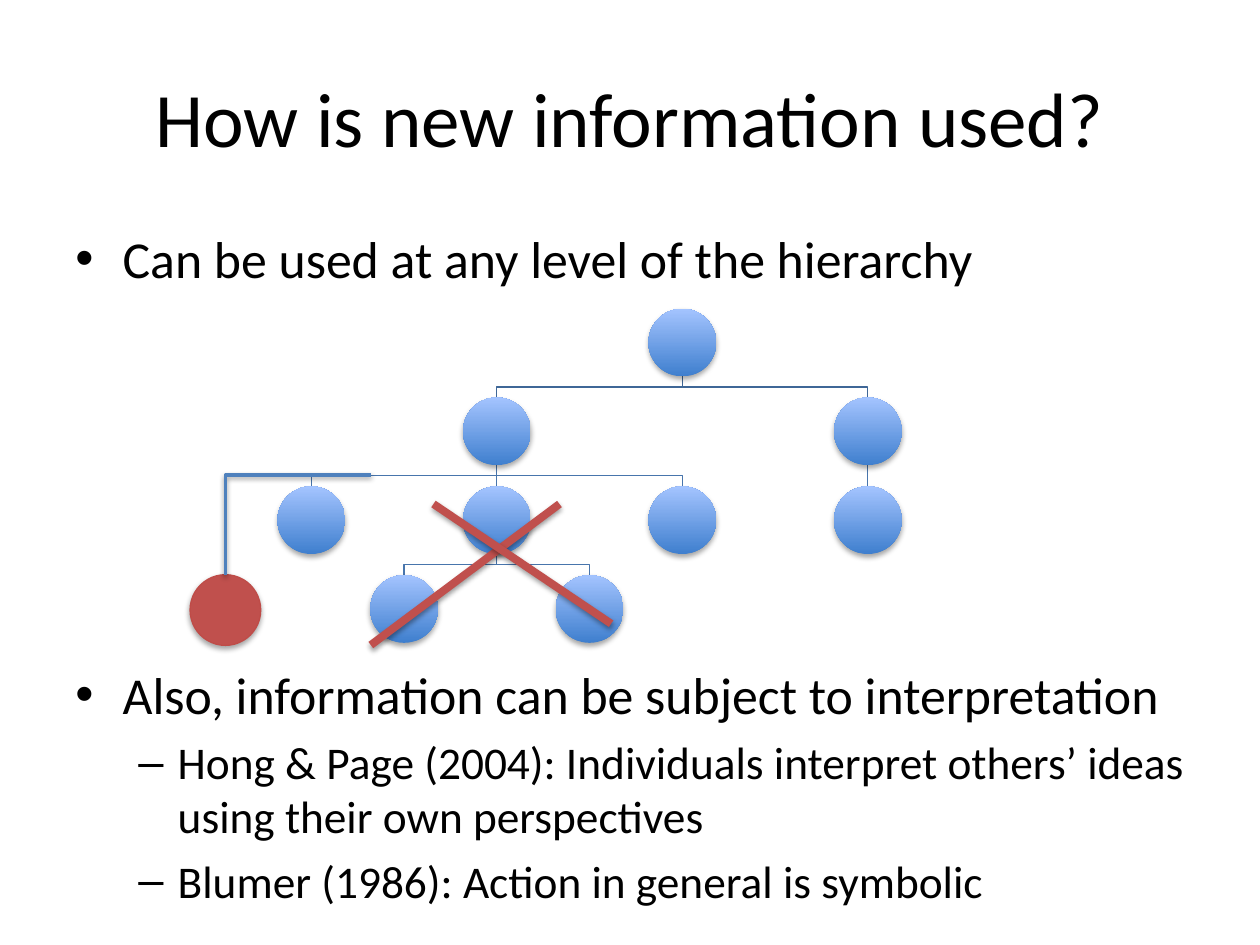
import pptx
import pptx.util
import pptx.dml.color
import pptx.enum.shapes
import pptx.enum.text
import pptx.oxml
import pptx.oxml.ns

Pt = pptx.util.Pt
FONT = "Calibri"
COLORS = {
    "text": "000000", "node_low": "3F7FCE", "node_high": "A4C4FF",
    "upper_link": "3F6797", "lower_link": "4875AC",
    "new_link": "4F81BD", "new_node": "C0504D", "new_edge": "BF4C48",
    "cross": "C0504D", "shadow": "000000",
}

# Content: bullets are (level, text)
TITLE = "How is new information used?"
TOP_BULLETS = [(0, "Can be used at any level of the hierarchy")]
LOWER_BULLETS = [
    (0, "Also, information can be subject to interpretation"),
    (1, "Hong & Page (2004): Individuals interpret others\u2019 ideas using their own perspectives"),
    (1, "Blumer (1986): Action in general is symbolic"),
]
# Per level: mark, size, left margin, hanging indent
BULLET_STYLES = [("\u2022", 29.6, 27, 27), ("\u2013", 25.9, 58.5, 22.5)]

# Hierarchy: name -> (level, column offset from root, parent)
HIERARCHY = {
    "root": (0, 0, None),
    "left": (1, -2, "root"), "right": (1, 2, "root"),
    "left a": (2, -4, "left"), "left b": (2, -2, "left"),
    "left c": (2, 0, "left"), "right a": (2, 2, "right"),
    "left b1": (3, -3, "left b"), "left b2": (3, -1, "left b"),
}
ROOT_X, ROOT_TOP = 389.9, 176.4
COLUMN_STEP, LEVEL_STEP, NODE_SIZE = 53, 50.75, 38.7

NEW_NODE = (108.6, 328.4, 40.4)  # left, top, size
NEW_LINK = [(128.8, 328.4), (128.8, 271.6), (211.9, 271.6)]
CROSS = [((211.9, 368.6), (319.7, 288)), ((247.7, 288), (349.2, 356.4))]

deck = pptx.Presentation()
deck.slide_width, deck.slide_height = Pt(720), Pt(540)
slide = deck.slides.add_slide(deck.slide_layouts[6])
shapes = slide.shapes


def rgb(name):
    return pptx.dml.color.RGBColor.from_string(COLORS[name])


def set_shadow(shape, alpha=None, distance=1.6):
    """Give the shape a downward shadow, or none when alpha is missing."""
    props = shape._element.spPr
    for old in props.findall(pptx.oxml.ns.qn("a:effectLst")):
        props.remove(old)
    inner = "" if alpha is None else (
        f'<a:outerShdw blurRad="{Pt(3.1)}" dist="{Pt(distance)}" dir="5400000" rotWithShape="0">'
        f'<a:srgbClr val="{COLORS["shadow"]}"><a:alpha val="{alpha * 1000}"/></a:srgbClr>'
        "</a:outerShdw>")
    props.append(pptx.oxml.parse_xml(
        f'<a:effectLst {pptx.oxml.ns.nsdecls("a")}>{inner}</a:effectLst>'))


def style_line(shape, color, width):
    shape.line.color.rgb = rgb(color)
    shape.line.width = Pt(width)


def add_run(paragraph, text, size):
    run = paragraph.add_run()
    run.text = text
    run.font.name, run.font.size = FONT, Pt(size)
    run.font.color.rgb = rgb("text")


def add_text_box(left, top, width, height):
    frame = shapes.add_textbox(Pt(left), Pt(top), Pt(width), Pt(height)).text_frame
    frame.word_wrap = True
    return frame


def add_bullets(top, height, bullets):
    frame = add_text_box(36, top, 648, height)
    for i, (level, text) in enumerate(bullets):
        mark, size, margin, hanging = BULLET_STYLES[level]
        paragraph = frame.paragraphs[0] if i == 0 else frame.add_paragraph()
        paragraph.level = level
        paragraph.space_before = Pt(5.5 if i else 0)
        props = paragraph._p.get_or_add_pPr()
        props.set("marL", str(Pt(margin)))
        props.set("indent", str(-Pt(hanging)))
        ns = pptx.oxml.ns.nsdecls("a")
        props.append(pptx.oxml.parse_xml(f'<a:buFont {ns} typeface="Arial"/>'))
        props.append(pptx.oxml.parse_xml(f'<a:buChar {ns} char="{mark}"/>'))
        add_run(paragraph, text, size)


def add_straight(start, end, color, width):
    line = shapes.add_connector(pptx.enum.shapes.MSO_CONNECTOR.STRAIGHT,
                                *(Pt(v) for v in (*start, *end)))
    style_line(line, color, width)
    set_shadow(line)
    return line


def add_bent(points, color, width):
    corners = [(Pt(x), Pt(y)) for x, y in points]
    builder = shapes.build_freeform(*corners[0], scale=1.0)
    builder.add_line_segments(corners[1:], close=False)
    bent = builder.convert_to_shape()
    bent.fill.background()
    style_line(bent, color, width)
    set_shadow(bent)
    return bent


def add_circle(left, top, size):
    return shapes.add_shape(pptx.enum.shapes.MSO_SHAPE.OVAL,
                            Pt(left), Pt(top), Pt(size), Pt(size))


# Title and bullets
title = add_text_box(36, 21.6, 648, 90)
title.vertical_anchor = pptx.enum.text.MSO_ANCHOR.MIDDLE
title.paragraphs[0].alignment = pptx.enum.text.PP_ALIGN.CENTER
add_run(title.paragraphs[0], TITLE, 44)
add_bullets(126, 46, TOP_BULLETS)
add_bullets(375, 165, LOWER_BULLETS)

# Links of the hierarchy
centers = {name: (ROOT_X + column * COLUMN_STEP, ROOT_TOP + level * LEVEL_STEP)
           for name, (level, column, _) in HIERARCHY.items()}
for name, (level, _, parent) in HIERARCHY.items():
    if parent is None:
        continue
    x, child_top = centers[name]
    parent_x, parent_top = centers[parent]
    parent_bottom = parent_top + NODE_SIZE
    color = "upper_link" if level == 1 else "lower_link"
    if x == parent_x:
        add_straight((x, parent_bottom), (x, child_top), color, 0.75)
    else:
        middle = (parent_bottom + child_top) / 2
        add_bent([(parent_x, parent_bottom), (parent_x, middle),
                  (x, middle), (x, child_top)], color, 0.75)

# Nodes of the hierarchy
for x, top in centers.values():
    node = add_circle(x - NODE_SIZE / 2, top, NODE_SIZE)
    node.fill.gradient()
    node.fill.gradient_angle = 90
    for stop, color in zip(node.fill.gradient_stops, ("node_low", "node_high")):
        stop.color.rgb = rgb(color)
    node.line.fill.background()
    set_shadow(node, 35, 1.8)

# New node and its link
new_node = add_circle(*NEW_NODE)
new_node.fill.solid()
new_node.fill.fore_color.rgb = rgb("new_node")
style_line(new_node, "new_edge", 0.75)
set_shadow(new_node, 35, 1.8)
set_shadow(add_bent(NEW_LINK, "new_link", 2), 38)

# Cross over the discarded branch
for start, end in CROSS:
    set_shadow(add_straight(start, end, "cross", 4.5), 38)

deck.save("out.pptx")
